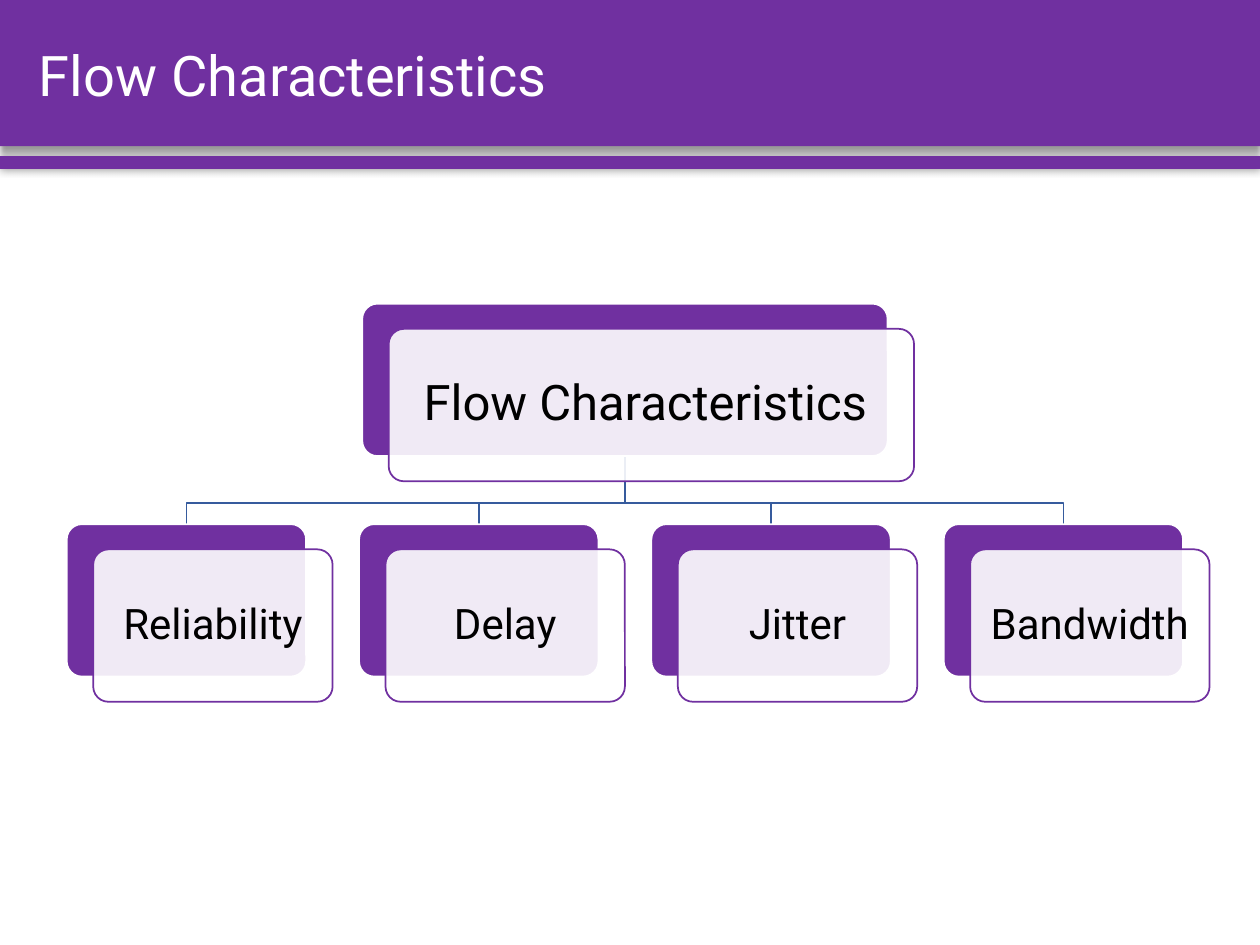
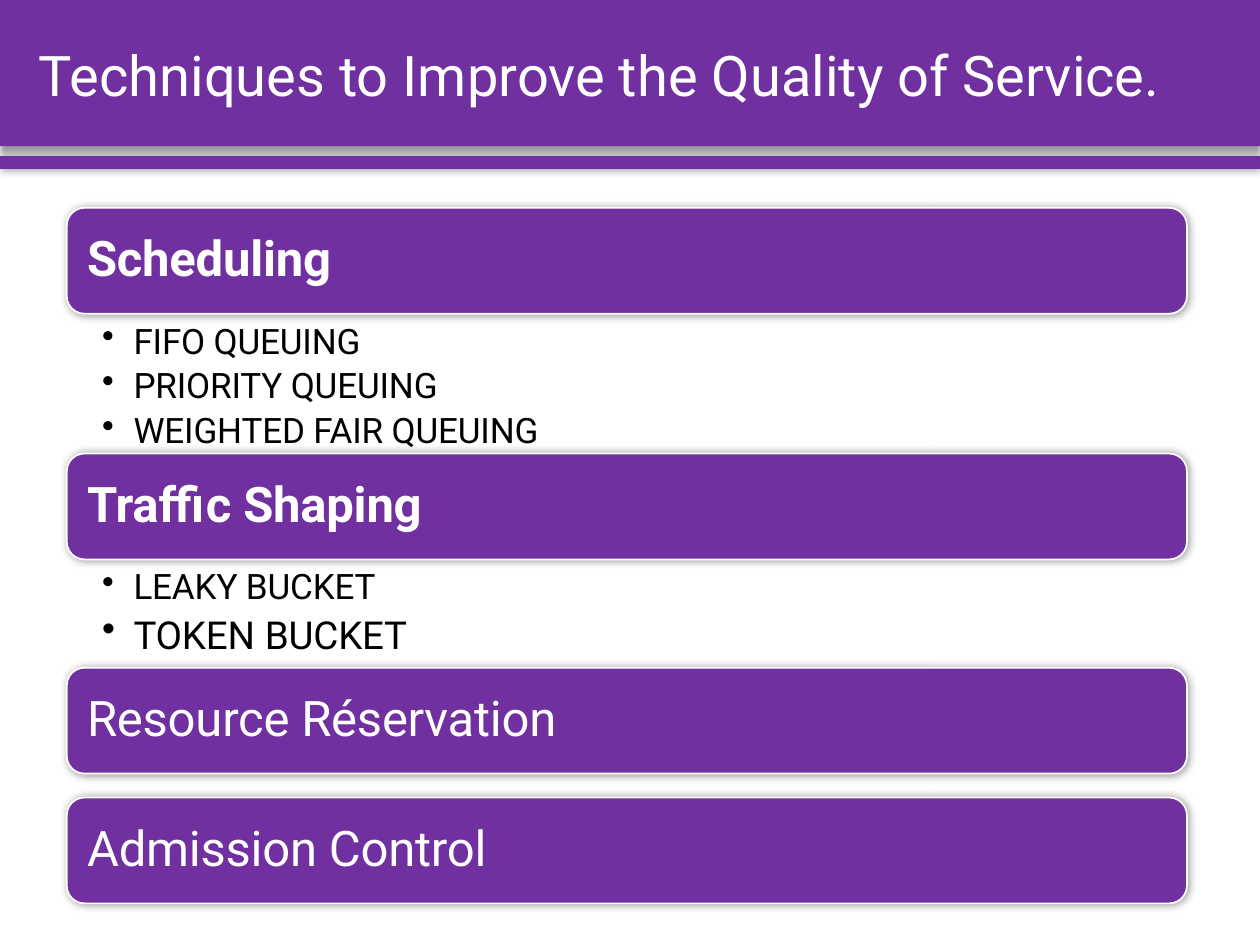
import pptx
import pptx.util
import pptx.dml.color
import pptx.enum.shapes
import pptx.enum.text
import pptx.oxml.ns
from lxml import etree

HUES = {"main": "7030A0", "page": "FFFFFF", "ink": "000000", "link": "365B9D"}
FONT = "Roboto"
WIDE, HIGH = 10, 7.5

BANDS = [(0, 1.16, (4, 3, 90)), (1.24, 0.1, (5, 0, 0))]

TREE = {
    "title": "Flow Characteristics",
    "root": "Flow Characteristics ",
    "kids": ["Reliability", "Delay", "Jitter", "Bandwidth"],
}

PLAN = {
    "title": "Techniques to Improve the Quality of Service.",
    "parts": [
        ("Scheduling", True, 1.11, 1.1, [
            [("FIFO QUEUING", 20, -10)],
            [("PRIORITY QUEUING", 20, -10)],
            [("WEIGHTED FAIR QUEUING", 20, -10)],
        ]),
        ("Traffic Shaping", True, 0.86, 0.8, [
            [("LEAKY BUCKET", 20, -10)],
            [("TOKEN", 22, -10), (" ", 23, -80), ("BUCKET", 22, -10)],
        ]),
        ("Resource Réservation", False, 0.19, 0, []),
        ("Admission Control", False, 0, 0, []),
    ],
}

LEFT = 0.53
CARD = {"tall": 1.21, "shift": 0.21, "drop": 0.2, "root": 4.17, "kid": 1.9,
        "top": 2.41, "row": 4.16, "step": 2.32, "bend": 3.99}
BAR = {"top": 1.65, "wide": 8.89, "tall": 0.84, "gap": 0.05}

SHAPE = pptx.enum.shapes.MSO_SHAPE
ALIGN = pptx.enum.text.PP_ALIGN
MIDDLE = pptx.enum.text.MSO_ANCHOR.MIDDLE
inch = pptx.util.Inches
qn = pptx.oxml.ns.qn


def tint(name):
    return pptx.dml.color.RGBColor.from_string(HUES[name])


def sub(node, tag, **attrs):
    return etree.SubElement(node, qn(tag), {k: str(v) for k, v in attrs.items()})


def paint(shape, fill, line=None):
    shape.shadow.inherit = False
    if fill:
        shape.fill.solid()
        shape.fill.fore_color.rgb = tint(fill)
    else:
        shape.fill.background()
    if line:
        shape.line.color.rgb = tint(line)
        shape.line.width = pptx.util.Pt(1)
    else:
        shape.line.fill.background()


def shade(shape, blur, dist, angle):
    list_ = shape._element.spPr.find(qn("a:effectLst"))
    outer = sub(list_, "a:outerShdw", blurRad=pptx.util.Pt(blur), dist=pptx.util.Pt(dist),
                dir=angle * 60000, algn="ctr", rotWithShape=0)
    sub(sub(outer, "a:srgbClr", val=HUES["ink"]), "a:alpha", val=40000)


def block(slide, kind, box, fill, line=None, round_=None):
    shape = slide.shapes.add_shape(kind, *map(inch, box))
    if round_:
        shape.adjustments[0] = round_
    paint(shape, fill, line)
    return shape


def frame(shape, pads, anchor=None):
    text = shape.text_frame
    text.word_wrap = True
    text.margin_left, text.margin_top, text.margin_right, text.margin_bottom = map(inch, pads)
    if anchor is not None:
        text.vertical_anchor = anchor
    return text


def write(para, text, size, hue, bold=False, track=0):
    run = para.add_run()
    run.text = text
    run.font.name = FONT
    run.font.size = pptx.util.Pt(size)
    run.font.color.rgb = tint(hue)
    if bold:
        run.font.bold = True
    if track:
        run._r.get_or_add_rPr().set("spc", str(track))


def label(shape, text, size, hue, pad, align, bold=False, track=0):
    para = frame(shape, [pad] * 4, MIDDLE).paragraphs[0]
    para.alignment = align
    para.line_spacing = 0.9
    write(para, text, size, hue, bold, track)


def start(deck, title):
    slide = deck.slides.add_slide(deck.slide_layouts[6])
    for top, tall, glow in BANDS:
        shade(block(slide, SHAPE.RECTANGLE, (0, top, WIDE, tall), "main"), *glow)
    box = slide.shapes.add_textbox(*map(inch, (0.3, 0.31, 9.46, 0.55)))
    text = frame(box, (0.01, 0.01, 0, 0), MIDDLE)
    text.auto_size = pptx.enum.text.MSO_AUTO_SIZE.SHAPE_TO_FIT_TEXT
    write(text.paragraphs[0], title, 32, "page")
    return slide


def card(slide, mid, top, wide, text, size, pad):
    left = mid - wide / 2
    block(slide, SHAPE.ROUNDED_RECTANGLE, (left, top, wide, CARD["tall"]), "main", "page", 0.1)
    box = (left + CARD["shift"], top + CARD["drop"], wide, CARD["tall"])
    face = block(slide, SHAPE.ROUNDED_RECTANGLE, box, "page", "main", 0.1)
    sub(face._element.spPr.find(qn("a:solidFill"))[0], "a:alpha", val=90000)
    label(face, text, size, "ink", pad, ALIGN.CENTER)


def branch(slide, mid, end):
    stem = CARD["top"] + CARD["tall"]
    spots = [(mid, CARD["bend"]), (end, CARD["bend"]), (end, CARD["row"])]
    pen = slide.shapes.build_freeform(inch(mid), inch(stem))
    pen.add_line_segments([(inch(x), inch(y)) for x, y in spots], close=False)
    paint(pen.convert_to_shape(), None, "link")


def draw_tree(deck):
    slide = start(deck, TREE["title"])
    mids = [LEFT + CARD["kid"] / 2 + i * CARD["step"] for i in range(len(TREE["kids"]))]
    hub = (mids[0] + mids[-1]) / 2
    for mid in reversed(mids):
        branch(slide, hub, mid)
    card(slide, hub, CARD["top"], CARD["root"], TREE["root"], 28, 0.12)
    for mid, kid in zip(mids, TREE["kids"]):
        card(slide, mid, CARD["row"], CARD["kid"], kid, 24, 0.1)


def points(slide, top, tall, rows):
    box = slide.shapes.add_textbox(*map(inch, (LEFT, top, BAR["wide"], tall)))
    text = frame(box, (0.28, 0.03, 0.16, 0.03))
    for i, row in enumerate(rows):
        para = text.add_paragraph() if i else text.paragraphs[0]
        para.level = 1
        props = para._p.get_or_add_pPr()
        props.set("marL", str(inch(0.25)))
        props.set("indent", str(inch(-0.25)))
        sub(props, "a:buChar", char="•")
        para.line_spacing = 0.9
        para.space_after = pptx.util.Pt(4)
        for words, size, track in row:
            write(para, words, size, "ink", track=track)


def draw_plan(deck):
    slide = start(deck, PLAN["title"])
    top = BAR["top"]
    for name, bold, room, tall, rows in PLAN["parts"]:
        bar = block(slide, SHAPE.ROUNDED_RECTANGLE, (LEFT, top, BAR["wide"], BAR["tall"]),
                    "main", "page")
        shade(bar, 5, 0, 0)
        label(bar, name, 28, "page", 0.12, ALIGN.LEFT, bold, -10)
        top += BAR["tall"]
        if rows:
            points(slide, top + BAR["gap"], tall, rows)
        top += room


def main():
    deck = pptx.Presentation()
    deck.slide_width, deck.slide_height = inch(WIDE), inch(HIGH)
    draw_tree(deck)
    draw_plan(deck)
    deck.save("out.pptx")


if __name__ == "__main__":
    main()
